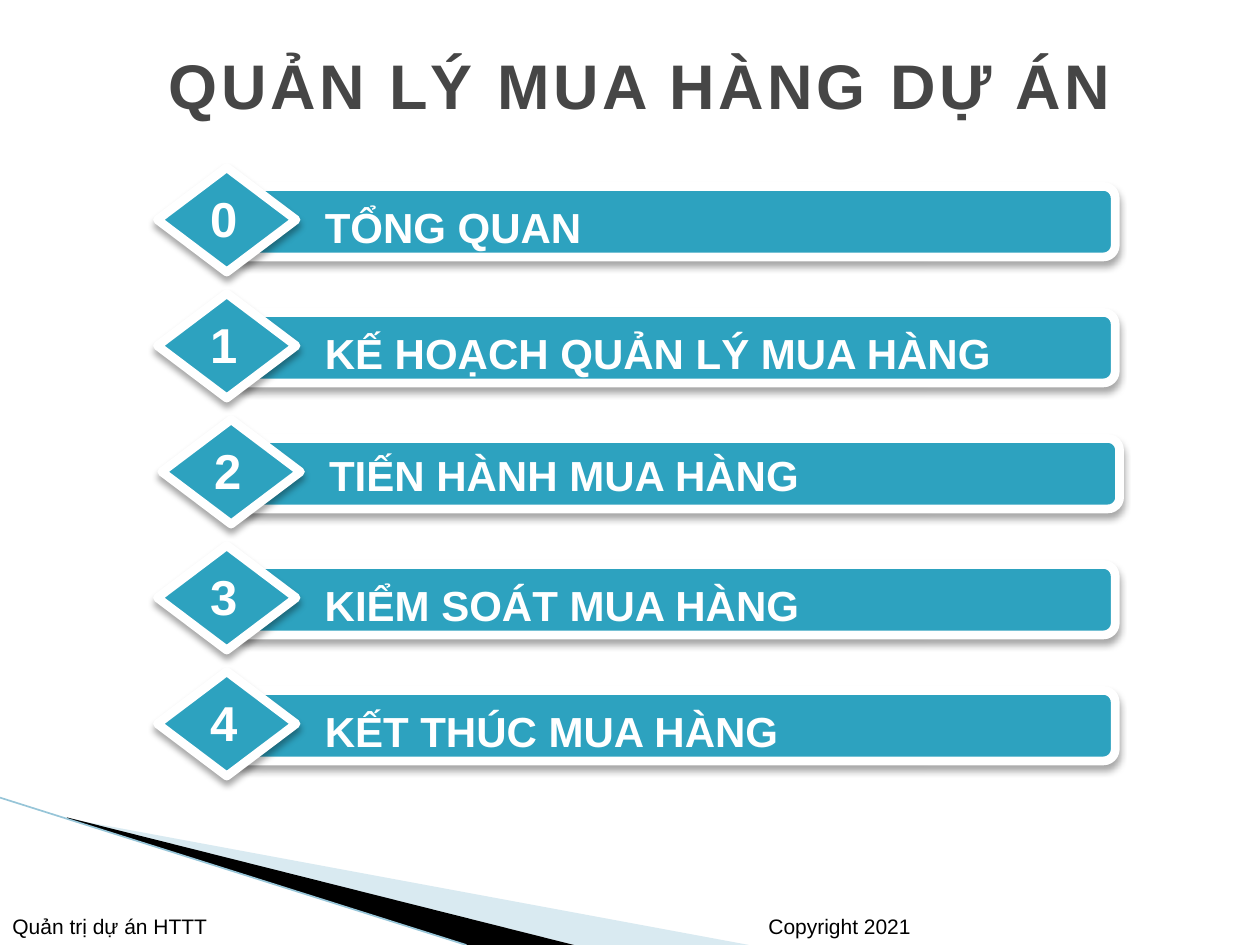
"""Build the agenda slide on project procurement management."""
from dataclasses import dataclass

from lxml.etree import SubElement
from pptx import Presentation
from pptx.dml.color import RGBColor
from pptx.enum.shapes import MSO_CONNECTOR, MSO_SHAPE
from pptx.enum.text import MSO_ANCHOR, MSO_AUTO_SIZE, PP_ALIGN
from pptx.oxml.ns import qn
from pptx.util import Pt

TEAL = RGBColor(0x2D, 0xA2, 0xBF)
PALE_BLUE = RGBColor(0xA0, 0xCB, 0xDC)
EDGE_BLUE = RGBColor(0x97, 0xC5, 0xD8)
GRAY = RGBColor(0x46, 0x46, 0x46)
WHITE = RGBColor(0xFF, 0xFF, 0xFF)
BLACK = RGBColor(0, 0, 0)
FONT = "Arial"
ROW_LEFT, ROW_TOP, ROW_PITCH = 90, 95.75, 72


@dataclass
class AgendaItem:
    label: str
    width: float
    height: float
    shift: float = 0
    label_top: float = 15.85


ITEMS = [
    AgendaItem("TỔNG QUAN", 447, 30.25),
    AgendaItem("KẾ HOẠCH QUẢN LÝ MUA HÀNG", 530, 36.7),
    AgendaItem("TIẾN HÀNH MUA HÀNG", 485.3, 65.5, 2.5, 13.7),
    AgendaItem("KIỂM SOÁT MUA HÀNG", 512, 36.7),
    AgendaItem("KẾT THÚC MUA HÀNG", 530, 36.7),
]


def add_text(shapes, text: str, x: float, y: float, w: float, h: float,
             size: float, color: RGBColor, bold: bool = False):
    sp = shapes.add_textbox(Pt(x), Pt(y), Pt(w), Pt(h))
    tf = sp.text_frame
    tf.word_wrap = True
    p = tf.paragraphs[0]
    p.text = text
    p.font.name, p.font.size, p.font.bold = FONT, Pt(size), bold
    p.font.color.rgb = color
    return tf


def add_footer(shapes, text: str, x: float, w: float) -> None:
    tf = add_text(shapes, text, x, 511.2, w, 28.8, 12, BLACK)
    tf.vertical_anchor = MSO_ANCHOR.BOTTOM


def add_panel(shapes, kind: MSO_SHAPE, x: float, y: float, w: float, h: float):
    sp = shapes.add_shape(kind, Pt(x), Pt(y), Pt(w), Pt(h))
    sp.shadow.inherit = False
    sp.fill.solid()
    sp.fill.fore_color.rgb = TEAL
    sp.line.color.rgb = WHITE
    sp.line.width = Pt(5)
    SubElement(sp.line._get_or_add_ln(), qn("a:round"))
    effects = sp._element.spPr.find(qn("a:effectLst"))
    shadow = SubElement(effects, qn("a:outerShdw"), blurRad=str(Pt(4)),
                        dist=str(Pt(3)), dir="5400000", rotWithShape="0")
    black = SubElement(shadow, qn("a:srgbClr"), val=str(BLACK))
    SubElement(black, qn("a:alpha"), val="35000")
    return sp


def add_item(slide, number: int, item: AgendaItem) -> None:
    shapes = slide.shapes.add_group_shape().shapes
    x, y = ROW_LEFT + item.shift, ROW_TOP + number * ROW_PITCH
    add_panel(shapes, MSO_SHAPE.ROUNDED_RECTANGLE, x + 44, y + 10.8, 503.3, 40.3)
    add_panel(shapes, MSO_SHAPE.DIAMOND, x, y, 79.2, 59.75)
    label = add_text(shapes, item.label, x + 88.5, y + item.label_top,
                     item.width, item.height, 24, WHITE, True)
    digit = add_text(shapes, str(number), x + 23, y + 8.6, 30.2, 41, 28, WHITE, True)
    digit.word_wrap = False
    digit.paragraphs[0].alignment = PP_ALIGN.CENTER
    for tf in (label, digit):
        tf.auto_size = MSO_AUTO_SIZE.SHAPE_TO_FIT_TEXT


def add_wedge(slide, points: list[tuple[float, float]], color: RGBColor):
    builder = slide.shapes.build_freeform(*points[0], scale=Pt(1))
    builder.add_line_segments(points[1:])
    sp = builder.convert_to_shape()
    sp.shadow.inherit = False
    sp.fill.solid()
    sp.fill.fore_color.rgb = color
    sp.line.fill.background()
    return sp


def add_decoration(slide) -> None:
    pale = add_wedge(slide, [(39.6, 468.5), (428, 540), (328.5, 540), (39.6, 468)], PALE_BLUE)
    color = pale._element.spPr.find(qn("a:solidFill"))[0]
    SubElement(color, qn("a:alpha"), val="40000")
    add_wedge(slide, [(38.2, 467.3), (328.5, 540), (267, 540), (38.9, 468)], BLACK)
    edge = slide.shapes.add_connector(MSO_CONNECTOR.STRAIGHT, Pt(0), Pt(455.8),
                                      Pt(266.5), Pt(540))
    edge.line.color.rgb = EDGE_BLUE
    edge.line.width = Pt(0.95)
    SubElement(edge._element.spPr, qn("a:effectLst"))


def format_title(sp) -> None:
    sp.left, sp.top, sp.width, sp.height = Pt(59.8), Pt(13), Pt(612), Pt(70.6)
    tf = sp.text_frame
    tf.vertical_anchor = MSO_ANCHOR.MIDDLE
    p = tf.paragraphs[0]
    p.alignment = PP_ALIGN.CENTER
    r = p.add_run()
    r.text = "QUẢN LÝ MUA HÀNG DỰ ÁN"
    r.font.name, r.font.size, r.font.bold = FONT, Pt(36), True
    r.font.color.rgb = GRAY
    r._r.get_or_add_rPr().set("spc", "200")


def main() -> None:
    prs = Presentation()
    prs.slide_width, prs.slide_height = Pt(720), Pt(540)
    s = prs.slides.add_slide(prs.slide_layouts[5])
    add_decoration(s)
    add_footer(s.shapes, "Copyright 2021", 432, 126)
    format_title(s.shapes.title)
    for number, item in enumerate(ITEMS):
        add_item(s, number, item)
    add_footer(s.shapes, "Quản trị dự án HTTT", 0, 185.8)
    prs.save("out.pptx")


if __name__ == "__main__":
    main()
